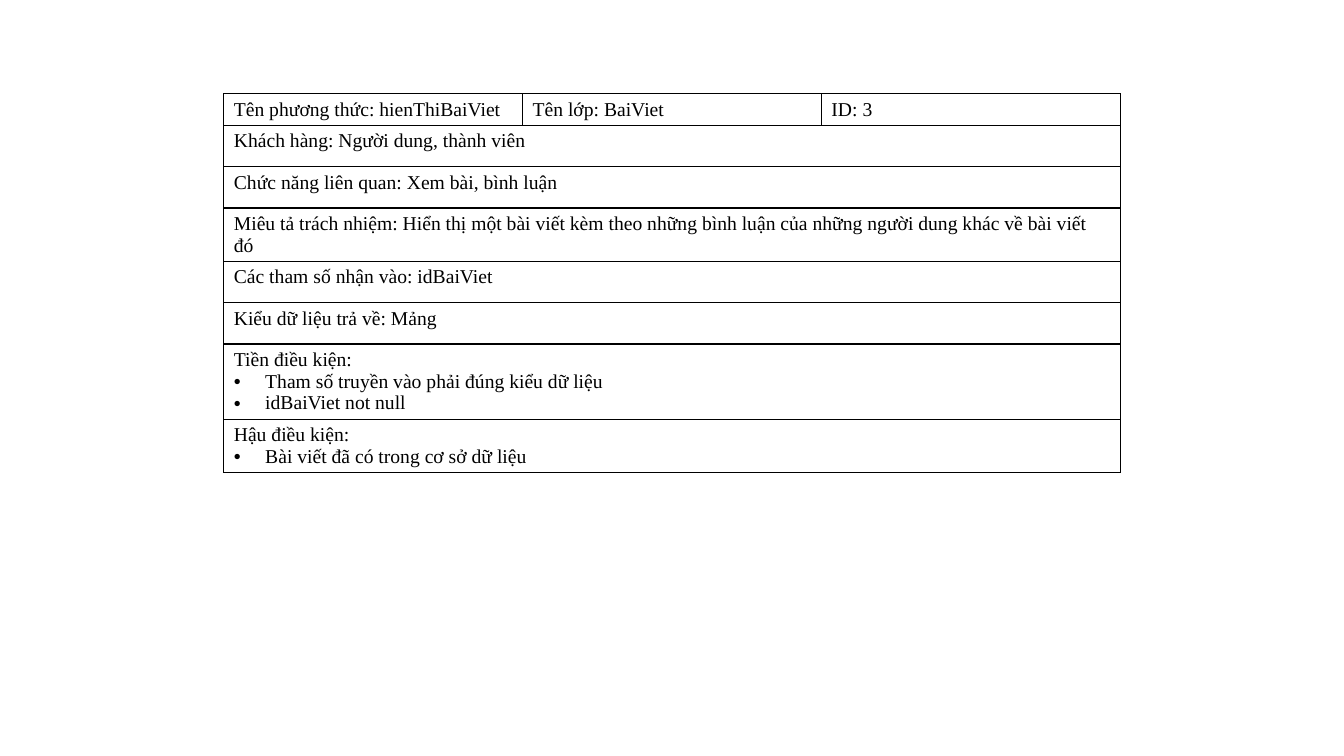
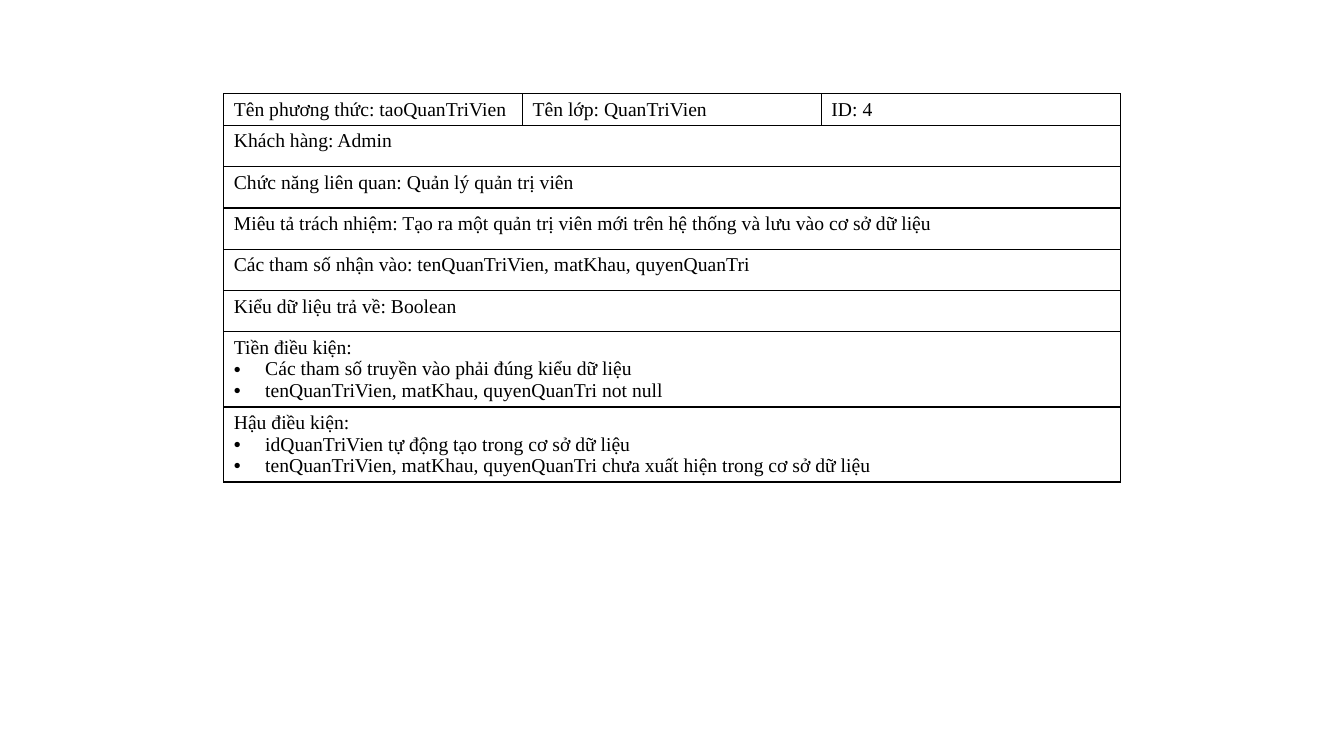
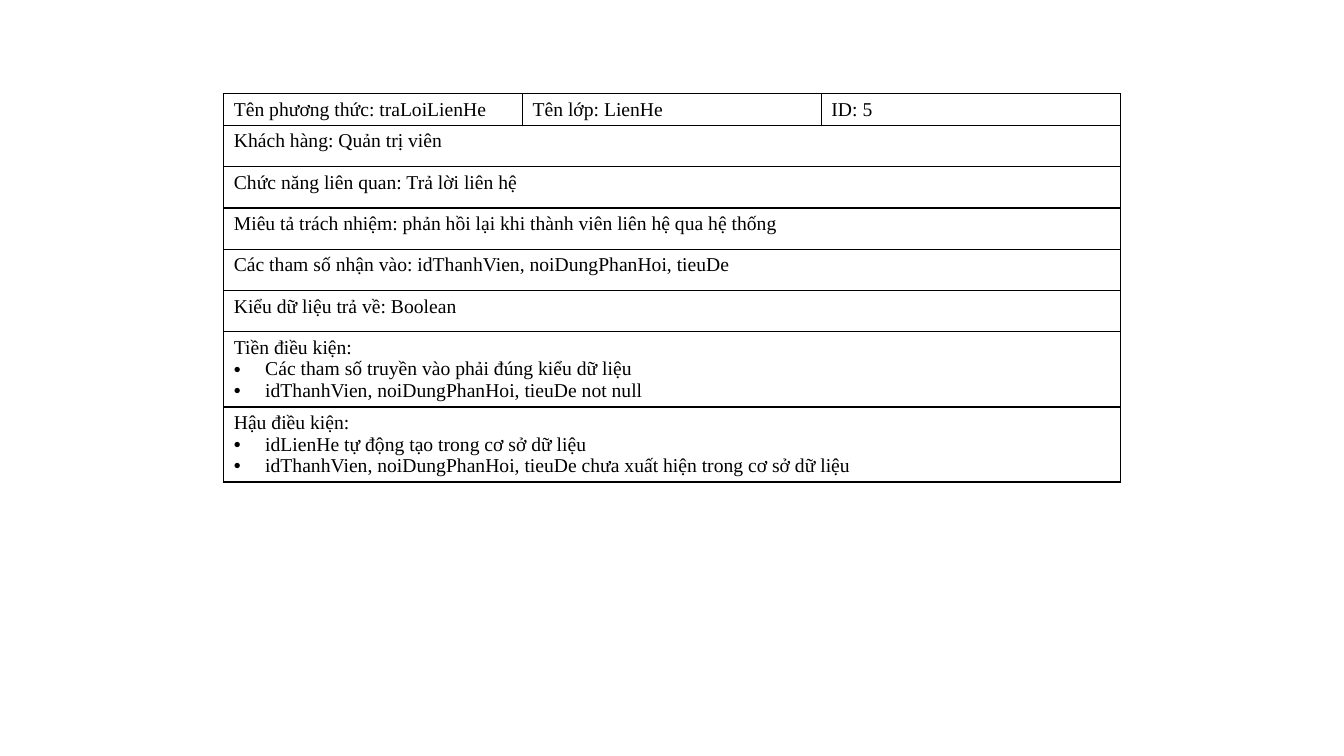
from dataclasses import dataclass

import pptx
import pptx.dml.color
import pptx.oxml
import pptx.oxml.ns
import pptx.util
from pptx.util import Cm


@dataclass(frozen=True)
class Theme:
    font: str = "Times New Roman"
    bullet_font: str = "Arial"
    text_size: int = 14
    ink: str = "000000"
    border_width: int = 1


THEME = Theme()

SLIDE_WIDTH, SLIDE_HEIGHT = Cm(33.87), Cm(19.05)
TABLE_LEFT, TABLE_TOP = Cm(5.64), Cm(2.36)
COLUMN_WIDTH = Cm(7.53)
HEADER_HEIGHT, ROW_HEIGHT = Cm(0.66), Cm(1.04)
BULLET_INDENT = Cm(0.79)

HEADER_LABELS = ("Tên phương thức", "Tên lớp", "ID")
FIELD_LABELS = (
    "Khách hàng",
    "Chức năng liên quan",
    "Miêu tả trách nhiệm",
    "Các tham số nhận vào",
    "Kiểu dữ liệu trả về",
)
CONDITION_LABELS = ("Tiền điều kiện", "Hậu điều kiện")

METHODS = (
    {
        "header": ("hienThiBaiViet", "BaiViet", "3"),
        "fields": (
            "Người dung, thành viên",
            "Xem bài, bình luận",
            "Hiển thị một bài viết kèm theo những bình luận của "
            "những người dung khác về bài viết đó",
            "idBaiViet",
            "Mảng",
        ),
        "conditions": (
            ("Tham số truyền vào phải đúng kiểu dữ liệu", "idBaiViet not null"),
            ("Bài viết đã có trong cơ sở dữ liệu",),
        ),
    },
    {
        "header": ("taoQuanTriVien", "QuanTriVien", "4"),
        "fields": (
            "Admin",
            "Quản lý quản trị viên",
            "Tạo ra một quản trị viên mới trên hệ thống và lưu vào cơ sở dữ liệu",
            "tenQuanTriVien, matKhau, quyenQuanTri",
            "Boolean",
        ),
        "conditions": (
            (
                "Các tham số truyền vào phải đúng kiểu dữ liệu",
                "tenQuanTriVien, matKhau, quyenQuanTri not null",
            ),
            (
                "idQuanTriVien tự động tạo trong cơ sở dữ liệu",
                "tenQuanTriVien, matKhau, quyenQuanTri chưa xuất hiện trong cơ sở dữ liệu",
            ),
        ),
    },
    {
        "header": ("traLoiLienHe", "LienHe", "5"),
        "fields": (
            "Quản trị viên",
            "Trả lời liên hệ",
            "phản hồi lại khi thành viên liên hệ qua hệ thống",
            "idThanhVien, noiDungPhanHoi, tieuDe",
            "Boolean",
        ),
        "conditions": (
            (
                "Các tham số truyền vào phải đúng kiểu dữ liệu",
                "idThanhVien, noiDungPhanHoi, tieuDe not null",
            ),
            (
                "idLienHe tự động tạo trong cơ sở dữ liệu",
                "idThanhVien, noiDungPhanHoi, tieuDe chưa xuất hiện trong cơ sở dữ liệu",
            ),
        ),
    },
)


def set_attributes(target, values):
    for name, value in values.items():
        setattr(target, name, value)


def append_xml(parent, markup):
    """Append one DrawingML element; %s stands for the namespace declaration."""
    parent.append(pptx.oxml.parse_xml(markup % pptx.oxml.ns.nsdecls("a")))


def outline_cell(cell):
    properties = cell._tc.get_or_add_tcPr()
    width = pptx.util.Pt(THEME.border_width)
    for side in "LRTB":
        append_xml(
            properties,
            f'<a:ln{side} %s w="{width}"><a:solidFill>'
            f'<a:srgbClr val="{THEME.ink}"/></a:solidFill></a:ln{side}>',
        )
    cell.fill.background()


def add_bullet(paragraph):
    properties = paragraph._p.get_or_add_pPr()
    properties.set("marL", str(BULLET_INDENT))
    properties.set("indent", str(-BULLET_INDENT))
    append_xml(properties, f'<a:buFont %s typeface="{THEME.bullet_font}"/>')
    append_xml(properties, '<a:buChar %s char="•"/>')


def write_cell(cell, heading, bullets=()):
    text_frame = cell.text_frame
    for index, text in enumerate((heading, *bullets)):
        paragraph = text_frame.add_paragraph() if index else text_frame.paragraphs[0]
        run = paragraph.add_run()
        run.text = text
        set_attributes(
            run.font, {"name": THEME.font, "size": pptx.util.Pt(THEME.text_size)}
        )
        run.font.color.rgb = pptx.dml.color.RGBColor.from_string(THEME.ink)
        if index:
            add_bullet(paragraph)


def add_method_table(slide, method):
    """Three header cells, then one full-width row per field and condition."""
    rows = [
        (f"{label}: {value}", ())
        for label, value in zip(FIELD_LABELS, method["fields"])
    ]
    rows += [
        (f"{label}:", bullets)
        for label, bullets in zip(CONDITION_LABELS, method["conditions"])
    ]
    column_count = len(HEADER_LABELS)
    table = slide.shapes.add_table(
        len(rows) + 1,
        column_count,
        TABLE_LEFT,
        TABLE_TOP,
        COLUMN_WIDTH * column_count,
        HEADER_HEIGHT + ROW_HEIGHT * len(rows),
    ).table
    set_attributes(table, {"first_row": False, "horz_banding": False})
    for column in table.columns:
        column.width = COLUMN_WIDTH
    for index, row in enumerate(table.rows):
        row.height = ROW_HEIGHT if index else HEADER_HEIGHT
    for cell in table.iter_cells():
        outline_cell(cell)

    for index, (label, value) in enumerate(zip(HEADER_LABELS, method["header"])):
        write_cell(table.cell(0, index), f"{label}: {value}")
    for index, (heading, bullets) in enumerate(rows, start=1):
        cell = table.cell(index, 0)
        cell.merge(table.cell(index, column_count - 1))
        write_cell(cell, heading, bullets)


def main():
    presentation = pptx.Presentation()
    set_attributes(
        presentation, {"slide_width": SLIDE_WIDTH, "slide_height": SLIDE_HEIGHT}
    )
    blank_layout = presentation.slide_layouts.get_by_name("Blank")
    for method in METHODS:
        add_method_table(presentation.slides.add_slide(blank_layout), method)
    presentation.save("out.pptx")


if __name__ == "__main__":
    main()
